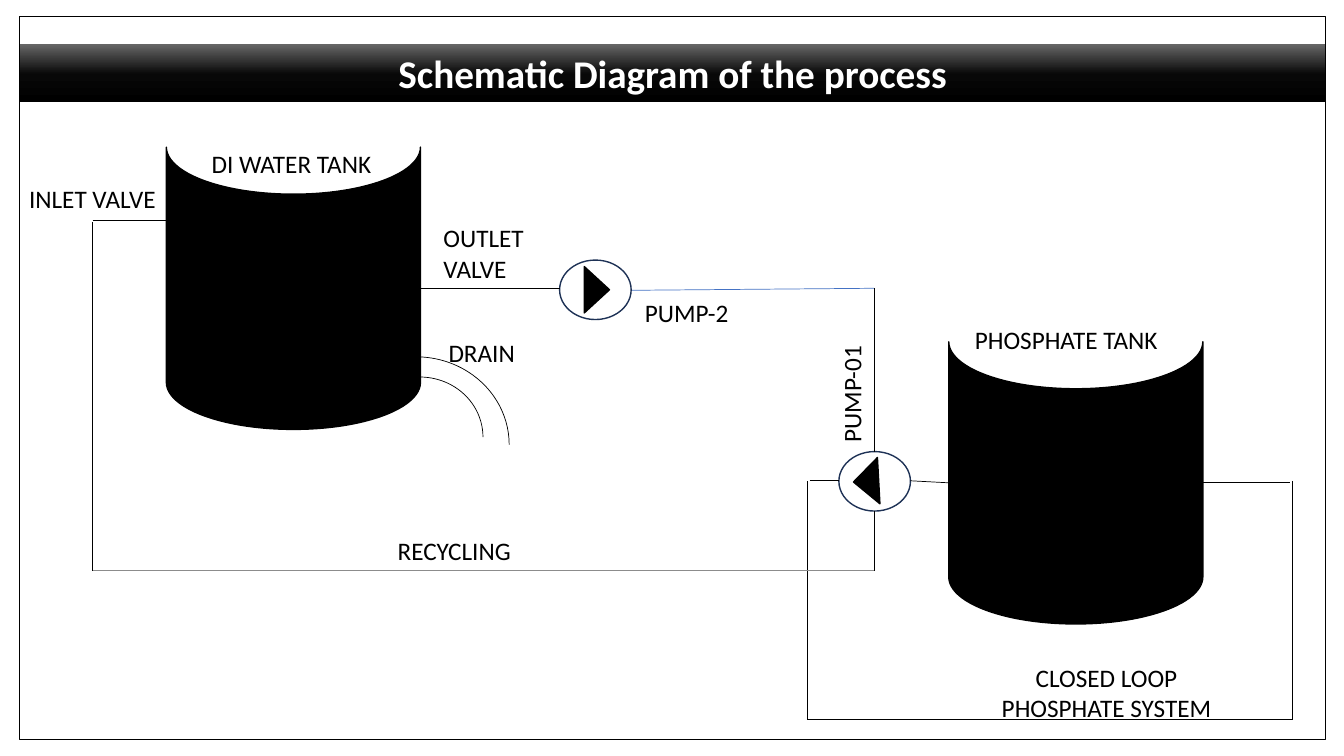
from copy import deepcopy
from typing import NamedTuple, Optional

from lxml.etree import SubElement
from pptx import Presentation
from pptx.dml.color import RGBColor
from pptx.enum.shapes import MSO_CONNECTOR, MSO_SHAPE as Preset
from pptx.enum.text import MSO_ANCHOR, MSO_AUTO_SIZE, PP_ALIGN as Align
from pptx.oxml.ns import qn
from pptx.slide import Slide
from pptx.util import Inches, Pt

BLACK = RGBColor(0x00, 0x00, 0x00)
WHITE = RGBColor(0xFF, 0xFF, 0xFF)
NAVY = RGBColor(0x1E, 0x32, 0x56)
BLUE = RGBColor(0x44, 0x72, 0xC4)
GREY = RGBColor(0x8C, 0x8C, 0x8C)
BANNER_STOPS = ((0, BLACK), (0.48, RGBColor(0x08, 0x08, 0x08)), (1, RGBColor(0x66, 0x66, 0x66)))
FONT = "Calibri"


class Box(NamedTuple):
    left: float
    top: float
    width: float
    height: float

    def lengths(self) -> list[Inches]:
        return [Inches(value) for value in self]


class Part(NamedTuple):
    preset: Preset
    box: Box
    line_width: float = 1
    line: RGBColor = BLACK
    fill: Optional[RGBColor] = None
    rotation: float = 0


class Pipe(NamedTuple):
    points: tuple[tuple[float, float], ...]
    color: RGBColor = BLACK


class Label(NamedTuple):
    text: str
    box: Box
    align: Align = Align.LEFT
    rotation: float = 0


def tank(left: float, top: float) -> Part:
    return Part(Preset.FLOWCHART_STORED_DATA, Box(left, top, 2.8, 2.52), fill=BLACK, rotation=270)


def pump(left: float, top: float, arrow_left: float, arrow_top: float, turn: float) -> list[Part]:
    return [
        Part(Preset.OVAL, Box(left, top, 0.71, 0.59), line=NAVY),
        Part(Preset.ISOSCELES_TRIANGLE, Box(arrow_left, arrow_top, 0.46, 0.25), fill=BLACK, rotation=turn),
    ]


PARTS = [
    tank(9.27, 3.53),
    tank(1.51, 1.6),
    *pump(8.32, 4.48, 8.36, 4.65, 266.9),
    *pump(5.55, 2.58, 5.69, 2.75, 90),
    Part(Preset.ARC, Box(3.54, 3.74, 1.25, 1.19), 0.5),
    Part(Preset.ARC, Box(3.2, 3.54, 1.85, 1.74), 0.5),
    Part(Preset.RECTANGLE, Box(0.19, 0.16, 12.96, 7.18), 0.75),
]

PIPES = [
    Pipe(((11.93, 4.79), (12.79, 4.79))),
    Pipe(((12.82, 4.77), (12.82, 7.14), (8.01, 7.14), (8.01, 4.77))),
    Pipe(((8.03, 4.77), (8.32, 4.77))),
    Pipe(((9.03, 4.77), (9.41, 4.79))),
    Pipe(((8.67, 5.07), (8.67, 5.66))),
    Pipe(((8.67, 5.66), (0.92, 5.66)), GREY),
    Pipe(((0.92, 5.66), (0.92, 2.2))),
    Pipe(((0.92, 2.19), (1.65, 2.19))),
    Pipe(((4.17, 2.86), (5.55, 2.86))),
    Pipe(((6.27, 2.88), (8.67, 2.86)), BLUE),
    Pipe(((8.67, 2.86), (8.67, 4.48))),
]

LABELS = [
    Label("PHOSPHATE TANK", Box(9.57, 3.17, 2.21, 0.4)),
    Label("DI WATER TANK", Box(2, 1.42, 2.54, 0.4)),
    Label("DRAIN", Box(4.35, 3.3, 1.55, 0.4)),
    Label("INLET VALVE", Box(0.19, 1.77, 1.89, 0.4)),
    Label("OUTLET VALVE", Box(4.3, 2.16, 1.2, 0.71)),
    Label("PUMP-2", Box(5.79, 2.9, 2.04, 0.4), Align.CENTER),
    Label("PUMP-01", Box(7.52, 3.71, 1.85, 0.4), Align.CENTER, 270),
    Label("RECYCLING", Box(2.83, 5.26, 3.35, 0.4), Align.CENTER),
    Label("CLOSED LOOP PHOSPHATE SYSTEM", Box(9.54, 6.52, 2.87, 0.71), Align.CENTER),
]


def draw_part(slide: Slide, part: Part) -> None:
    shape = slide.shapes.add_shape(part.preset, *part.box.lengths())
    shape.shadow.inherit = False
    shape.rotation = part.rotation
    if part.fill is None:
        shape.fill.background()
    else:
        shape.fill.solid()
        shape.fill.fore_color.rgb = part.fill
    shape.line.color.rgb = part.line
    shape.line.width = Pt(part.line_width)


def draw_pipe(slide: Slide, pipe: Pipe) -> None:
    for start, end in zip(pipe.points, pipe.points[1:]):
        ends = [Inches(value) for value in (*start, *end)]
        segment = slide.shapes.add_connector(MSO_CONNECTOR.STRAIGHT, *ends)
        segment.line.color.rgb = pipe.color
        segment.line.width = Pt(0.5)
        SubElement(segment._element.spPr, qn("a:effectLst"))


def write(shape, text: str, size: float, color: RGBColor, align: Align, bold: bool = False) -> None:
    frame = shape.text_frame
    frame.text = text
    frame.word_wrap = True
    paragraph = frame.paragraphs[0]
    paragraph.alignment = align
    font = paragraph.runs[0].font
    font.name = FONT
    font.size = Pt(size)
    font.bold = bold
    font.color.rgb = color


def draw_label(slide: Slide, label: Label) -> None:
    caption = slide.shapes.add_textbox(*label.box.lengths())
    caption.rotation = label.rotation
    write(caption, label.text, 18, BLACK, label.align)
    caption.text_frame.auto_size = MSO_AUTO_SIZE.SHAPE_TO_FIT_TEXT


def draw_banner(slide: Slide) -> None:
    banner = slide.shapes.title
    banner.left, banner.top, banner.width, banner.height = Box(0.19, 0.44, 12.96, 0.57).lengths()
    write(banner, "Schematic Diagram of the process", 28, WHITE, Align.CENTER, bold=True)
    banner.text_frame.vertical_anchor = MSO_ANCHOR.MIDDLE
    banner.text_frame.auto_size = MSO_AUTO_SIZE.NONE
    banner.fill.gradient()
    banner.fill.gradient_angle = 90
    stop_list = banner._element.spPr.find(f"{qn('a:gradFill')}/{qn('a:gsLst')}")
    stop_list.append(deepcopy(stop_list[0]))
    for stop, (position, color) in zip(banner.fill.gradient_stops, BANNER_STOPS):
        stop.position = position
        stop.color.rgb = color


def main() -> None:
    deck = Presentation()
    deck.slide_width = Inches(13.33)
    deck.slide_height = Inches(7.5)
    slide = deck.slides.add_slide(deck.slide_layouts.get_by_name("Title Only"))
    draw_banner(slide)
    for part in PARTS:
        draw_part(slide, part)
    for pipe in PIPES:
        draw_pipe(slide, pipe)
    for label in LABELS:
        draw_label(slide, label)
    deck.save("out.pptx")


if __name__ == "__main__":
    main()
